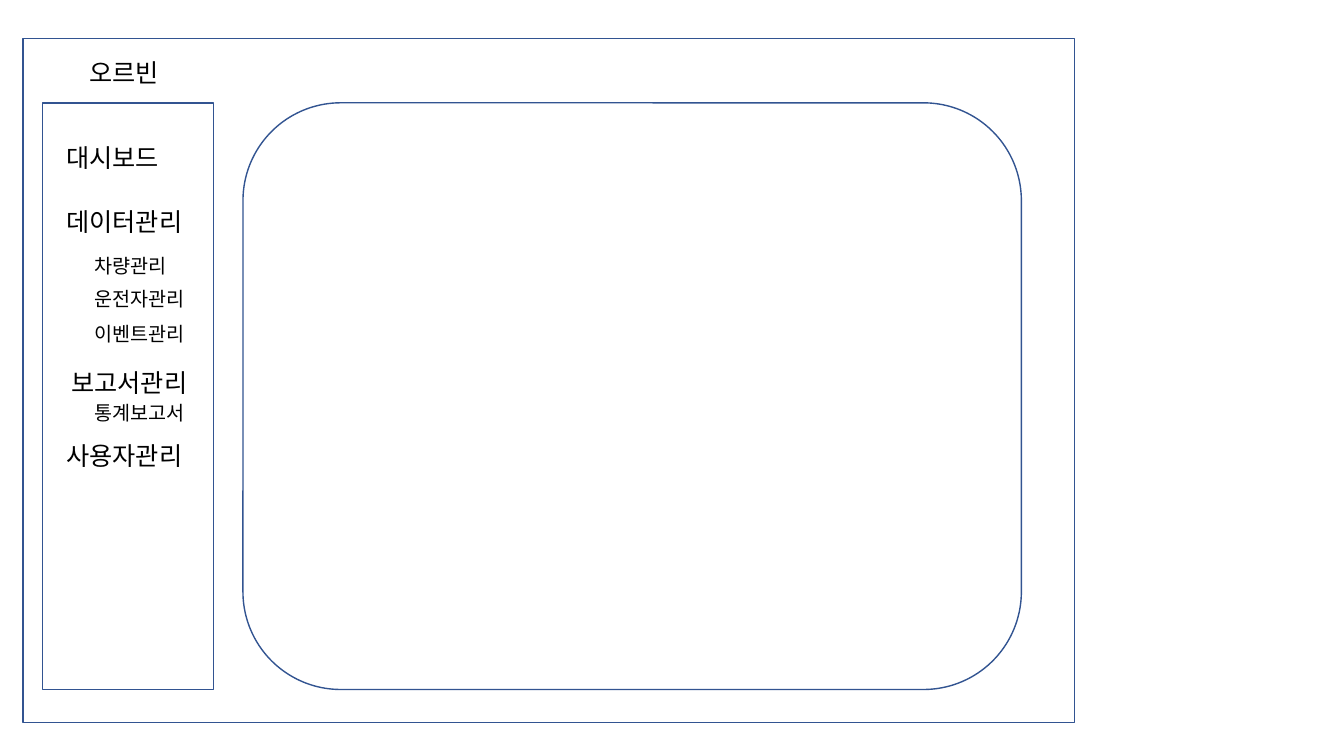
from lxml.etree import SubElement
from pptx import Presentation
from pptx.dml.color import RGBColor
from pptx.enum.shapes import MSO_SHAPE
from pptx.enum.text import MSO_AUTO_SIZE
from pptx.oxml.ns import qn
from pptx.util import Inches, Pt

FONT = "Noto Sans CJK KR"
BLACK = RGBColor(0x00, 0x00, 0x00)
OUTLINE = RGBColor(0x32, 0x54, 0x91)

SLIDE_WIDTH, SLIDE_HEIGHT = 13.33, 7.5
PANEL_TOP, PANEL_HEIGHT = 1.02, 5.82
MENU_LEFT, SUBMENU_LEFT = 0.56, 0.84
MENU_SIZE, SUBMENU_SIZE = 18, 14

FRAMES = [
    (MSO_SHAPE.RECTANGLE, 0.23, 0.38, 10.43, 6.79),
    (MSO_SHAPE.RECTANGLE, 0.42, PANEL_TOP, 1.7, PANEL_HEIGHT),
    (MSO_SHAPE.ROUNDED_RECTANGLE, 2.41, PANEL_TOP, 7.72, PANEL_HEIGHT),
]
LABELS = [
    ("오르빈", 0.79, 0.52, MENU_SIZE),
    ("대시보드", MENU_LEFT, 1.36, MENU_SIZE),
    ("데이터관리", MENU_LEFT, 2.0, MENU_SIZE),
    ("차량관리", SUBMENU_LEFT, 2.47, SUBMENU_SIZE),
    ("운전자관리", SUBMENU_LEFT, 2.8, SUBMENU_SIZE),
    ("이벤트관리", SUBMENU_LEFT, 3.14, SUBMENU_SIZE),
    ("보고서관리", 0.61, 3.59, MENU_SIZE),
    ("통계보고서", SUBMENU_LEFT, 3.93, SUBMENU_SIZE),
    ("사용자관리", MENU_LEFT, 4.32, MENU_SIZE),
]


def add_frame(slide, kind, left, top, width, height):
    shape = slide.shapes.add_shape(
        kind, Inches(left), Inches(top), Inches(width), Inches(height))
    shape.shadow.inherit = False
    shape.fill.background()
    shape.line.color.rgb = OUTLINE
    shape.line.width = Pt(1)


def add_label(slide, text, left, top, size):
    width = 0.2 + len(text) * size * 0.014
    height = 0.1 + size / 60
    box = slide.shapes.add_textbox(
        Inches(left), Inches(top), Inches(width), Inches(height))
    frame = box.text_frame
    frame.word_wrap = False
    frame.auto_size = MSO_AUTO_SIZE.SHAPE_TO_FIT_TEXT
    frame.text = text
    font = frame.paragraphs[0].runs[0].font
    font.size = Pt(size)
    font.name = FONT
    font.color.rgb = BLACK
    properties = frame.paragraphs[0].runs[0]._r.get_or_add_rPr()
    SubElement(properties, qn("a:ea")).set("typeface", FONT)


def main():
    presentation = Presentation()
    presentation.slide_width = Inches(SLIDE_WIDTH)
    presentation.slide_height = Inches(SLIDE_HEIGHT)
    slide = presentation.slides.add_slide(presentation.slide_layouts[6])
    for frame in FRAMES:
        add_frame(slide, *frame)
    for label in LABELS:
        add_label(slide, *label)
    presentation.save("out.pptx")


if __name__ == "__main__":
    main()
